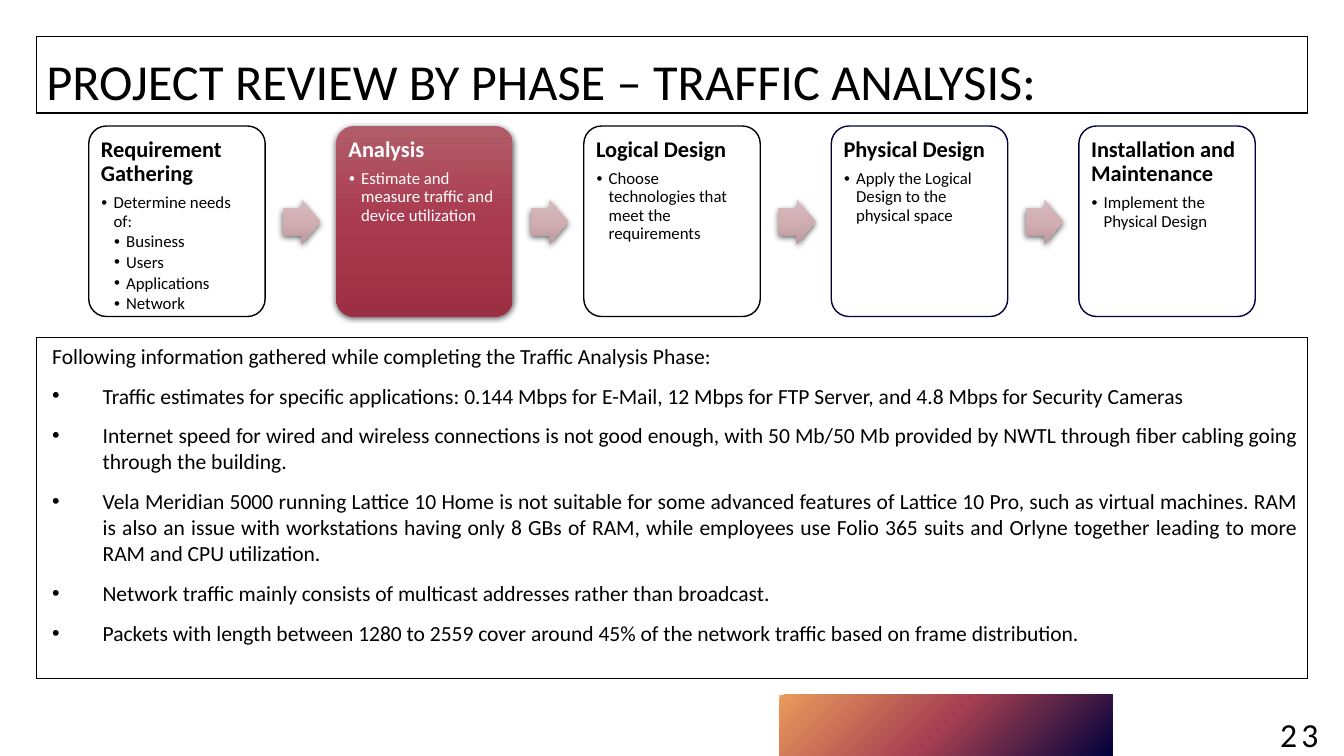
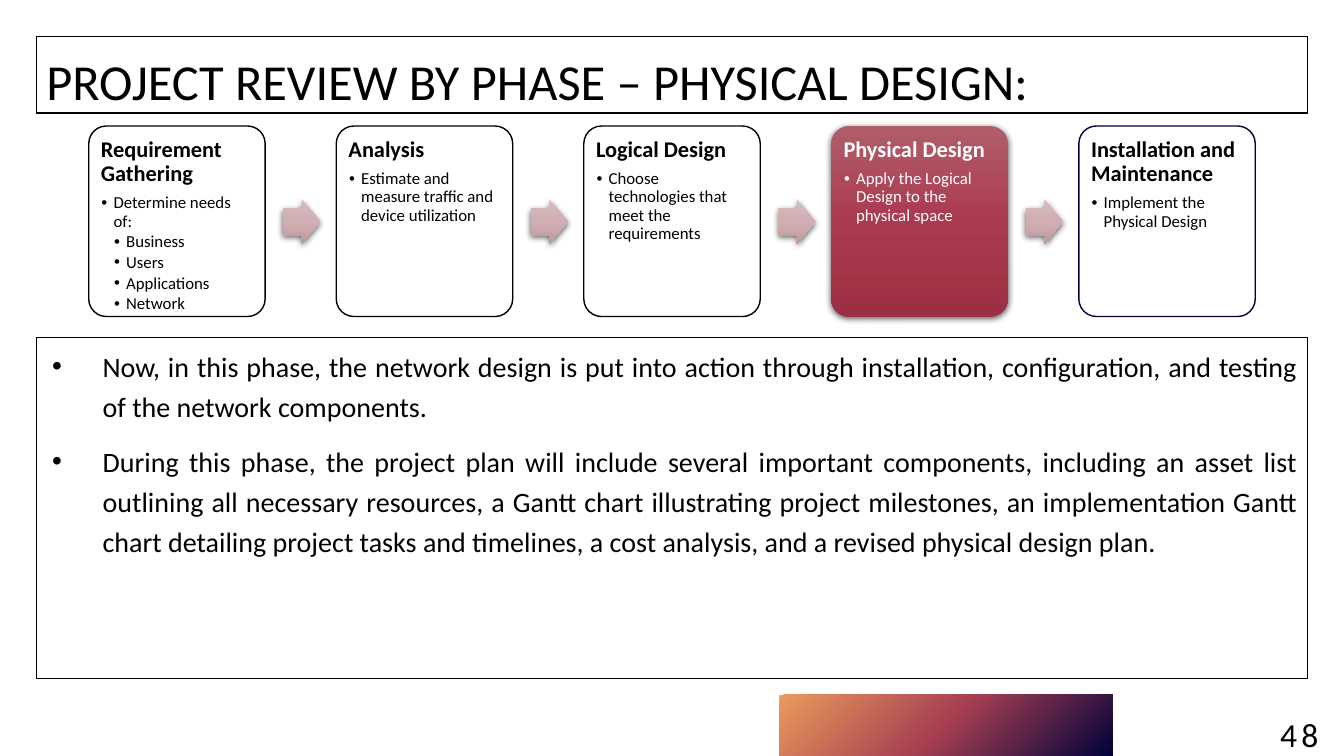
from lxml import etree
from pptx import Presentation
from pptx import util as u
from pptx.dml.color import RGBColor
from pptx.enum import shapes, text
from pptx.oxml import ns

FONT = "Calibri"
BLACK = RGBColor(0x00, 0x00, 0x00)
WHITE = RGBColor(0xFF, 0xFF, 0xFF)
NAVY = RGBColor(0x01, 0x02, 0x3B)
ROSE = RGBColor(0xA5, 0x3F, 0x52)
ORANGE = RGBColor(0xEA, 0x9A, 0x5C)
ACTIVE = (RGBColor(0xB1, 0x5D, 0x69), RGBColor(0xAA, 0x3A, 0x4F), RGBColor(0x9C, 0x2F, 0x43))
ARROW = (RGBColor(0xD6, 0xBA, 0xBD), RGBColor(0xD1, 0xAE, 0xB2), RGBColor(0xBC, 0x99, 0x9D))

DOWNWARD = '<a:lin ang="5400000" scaled="0"/>'
FROM_CORNER = '<a:path path="circle"><a:fillToRect l="100000" t="100000"/></a:path>'
SHADOW = (f'<a:outerShdw {ns.nsdecls("a")} blurRad="57150" dist="19050" dir="5400000" '
          'algn="ctr" rotWithShape="0"><a:srgbClr val="000000"><a:alpha val="63000"/>'
          '</a:srgbClr></a:outerShdw>')

# Phase diagram: heading, border colour, bullets as (level, wording)
PHASES = [
    ("Requirement Gathering", BLACK, [(1, "Determine needs of:"), (2, "Business"), (2, "Users"),
                                      (2, "Applications"), (2, "Network")]),
    ("Analysis", BLACK, [(1, "Estimate and measure traffic and device utilization")]),
    ("Logical Design", BLACK, [(1, "Choose technologies that meet the requirements")]),
    ("Physical Design", NAVY, [(1, "Apply the Logical Design to the physical space")]),
    ("Installation and Maintenance", NAVY, [(1, "Implement the Physical Design")]),
]
FIRST_LEFT, LAST_LEFT = 0.88, 10.7
PITCH = (LAST_LEFT - FIRST_LEFT) / (len(PHASES) - 1)
ARROW_OFFSET = 1.93

PAGES = [
    {
        "title": "PROJECT REVIEW BY PHASE – TRAFFIC ANALYSIS:",
        "number": "23", "active": "Analysis", "size": 15.4, "spacing": 1.0,
        "intro": "Following information gathered while completing the Traffic Analysis Phase:",
        "points": [
            "Traffic estimates for specific applications: 0.144 Mbps for E-Mail, 12 Mbps for "
            "FTP Server, and 4.8 Mbps for Security Cameras",
            "Internet speed for wired and wireless connections is not good enough, with "
            "50 Mb/50 Mb provided by NWTL through fiber cabling going through the building.",
            "Vela Meridian 5000 running Lattice 10 Home is not suitable for some advanced "
            "features of Lattice 10 Pro, such as virtual machines. RAM is also an issue with "
            "workstations having only 8 GBs of RAM, while employees use Folio 365 suits and "
            "Orlyne together leading to more RAM and CPU utilization.",
            "Network traffic mainly consists of multicast addresses rather than broadcast.",
            "Packets with length between 1280 to 2559 cover around 45% of the network traffic "
            "based on frame distribution.",
        ],
    },
    {
        "title": "PROJECT REVIEW BY PHASE – PHYSICAL DESIGN:",
        "number": "48", "active": "Physical Design", "size": 20, "spacing": 1.2,
        "intro": None,
        "points": [
            "Now, in this phase, the network design is put into action through installation, "
            "configuration, and testing of the network components.",
            "During this phase, the project plan will include several important components, "
            "including an asset list outlining all necessary resources, a Gantt chart "
            "illustrating project milestones, an implementation Gantt chart detailing project "
            "tasks and timelines, a cost analysis, and a revised physical design plan.",
        ],
    },
]


def paint(shape, fill, line=None, direction=DOWNWARD, shadow=False):
    """Fill with one colour or a three-stop gradient, then set outline and shadow."""
    if isinstance(fill, RGBColor):
        shape.fill.solid()
        shape.fill.fore_color.rgb = fill
    else:
        shape.fill.background()
        stops = "".join(f'<a:gs pos="{i * 50000}"><a:srgbClr val="{colour}"/></a:gs>'
                        for i, colour in enumerate(fill))
        gradient = etree.fromstring(f'<a:gradFill {ns.nsdecls("a")} rotWithShape="1">'
                                    f'<a:gsLst>{stops}</a:gsLst>{direction}</a:gradFill>')
        properties = shape.element.spPr
        properties.replace(properties.find(ns.qn("a:noFill")), gradient)
    if line is None:
        shape.line.fill.background()
    else:
        shape.line.color.rgb = line
        shape.line.width = u.Pt(1)
    shape.shadow.inherit = False
    if shadow:
        effects = shape.element.spPr.find(ns.qn("a:effectLst"))
        effects.append(etree.fromstring(SHADOW))


def write(frame, wording, size, colour, first=False, bold=False, indent=0, hanging=0):
    """Add a paragraph, bulleted when it has a hanging indent."""
    para = frame.paragraphs[0] if first else frame.add_paragraph()
    para.text = wording
    para.alignment = text.PP_ALIGN.LEFT
    properties = para._p.get_or_add_pPr()
    properties.set("marL", str(u.Inches(indent)))
    properties.set("indent", str(-u.Inches(hanging)))
    if hanging:
        etree.SubElement(properties, ns.qn("a:buFont")).set("typeface", "Arial")
        etree.SubElement(properties, ns.qn("a:buChar")).set("char", "•")
    for span in para.runs:
        span.font.name = FONT
        span.font.size = u.Pt(size)
        span.font.bold = bold
        span.font.color.rgb = colour
    return para


deck = Presentation()
deck.slide_width = u.Inches(13.33)
deck.slide_height = u.Inches(7.5)

for page in PAGES:
    slide = deck.slides.add_slide(deck.slide_layouts[5])

    # Title bar
    title = slide.shapes.title
    title.left, title.top = u.Inches(0.36), u.Inches(0.36)
    title.width, title.height = u.Inches(12.61), u.Inches(0.76)
    paint(title, WHITE, BLACK)
    title.text_frame.auto_size = text.MSO_AUTO_SIZE.NONE
    title.text_frame.vertical_anchor = text.MSO_ANCHOR.BOTTOM
    title.text_frame.margin_bottom = u.Inches(0.02)
    write(title.text_frame, page["title"], 36, BLACK, first=True)

    # Footer band and page number
    band = slide.shapes.add_shape(shapes.MSO_SHAPE.RECTANGLE, u.Inches(7.73), u.Inches(6.89),
                                  u.Inches(3.3), u.Inches(0.61))
    paint(band, (NAVY, ROSE, ORANGE), direction=FROM_CORNER)
    number = slide.shapes.add_textbox(u.Inches(12.54), u.Inches(6.83),
                                      u.Inches(0.69), u.Inches(0.4))
    number.text_frame.word_wrap = True
    para = write(number.text_frame, page["number"], 24, BLACK, first=True)
    para.alignment = text.PP_ALIGN.CENTER
    para.line_spacing = 1.5
    para.runs[0].font._element.set("spc", "300")

    # Findings
    box = slide.shapes.add_shape(shapes.MSO_SHAPE.RECTANGLE, u.Inches(0.36), u.Inches(3.35),
                                 u.Inches(12.61), u.Inches(3.38))
    paint(box, WHITE, BLACK)
    frame = box.text_frame
    frame.word_wrap = True
    frame.vertical_anchor = text.MSO_ANCHOR.TOP
    if page["intro"]:
        write(frame, page["intro"], page["size"], BLACK, first=True, indent=0.06)
    for i, point in enumerate(page["points"]):
        write(frame, point, page["size"], BLACK, first=i == 0 and not page["intro"],
              indent=0.56, hanging=0.5)
    for i, para in enumerate(frame.paragraphs):
        para.alignment = text.PP_ALIGN.JUSTIFY
        para.line_spacing = page["spacing"]
        para.space_before = u.Pt(10 if i else 0)

    # Phase cards with arrows between them
    for i, (heading, border, bullets) in enumerate(PHASES):
        left = FIRST_LEFT + i * PITCH
        card = slide.shapes.add_shape(shapes.MSO_SHAPE.ROUNDED_RECTANGLE, u.Inches(left),
                                      u.Inches(1.25), u.Inches(1.75), u.Inches(1.89))
        card.adjustments[0] = 0.1
        active = heading == page["active"]
        if active:
            paint(card, ACTIVE, shadow=True)
        else:
            paint(card, WHITE, border)
        colour = WHITE if active else BLACK

        frame = card.text_frame
        frame.word_wrap = True
        frame.vertical_anchor = text.MSO_ANCHOR.TOP
        frame.margin_left = frame.margin_right = u.Inches(0.07)
        frame.margin_top = frame.margin_bottom = u.Inches(0.07)
        para = write(frame, heading, 16, colour, first=True, bold=True)
        para.line_spacing = 0.9
        para.space_after = u.Pt(5.6)
        for level, wording in bullets:
            para = write(frame, wording, 12, colour, indent=0.125 * level, hanging=0.12)
            para.level = level
            para.line_spacing = 0.9
            para.space_after = u.Pt(1.8)

        if i < len(PHASES) - 1:
            arrow = slide.shapes.add_shape(shapes.MSO_SHAPE.RIGHT_ARROW,
                                           u.Inches(left + ARROW_OFFSET), u.Inches(1.98),
                                           u.Inches(0.37), u.Inches(0.44))
            arrow.adjustments[0] = 0.6
            arrow.adjustments[1] = 0.5
            paint(arrow, ARROW, shadow=True)

deck.save("out.pptx")
